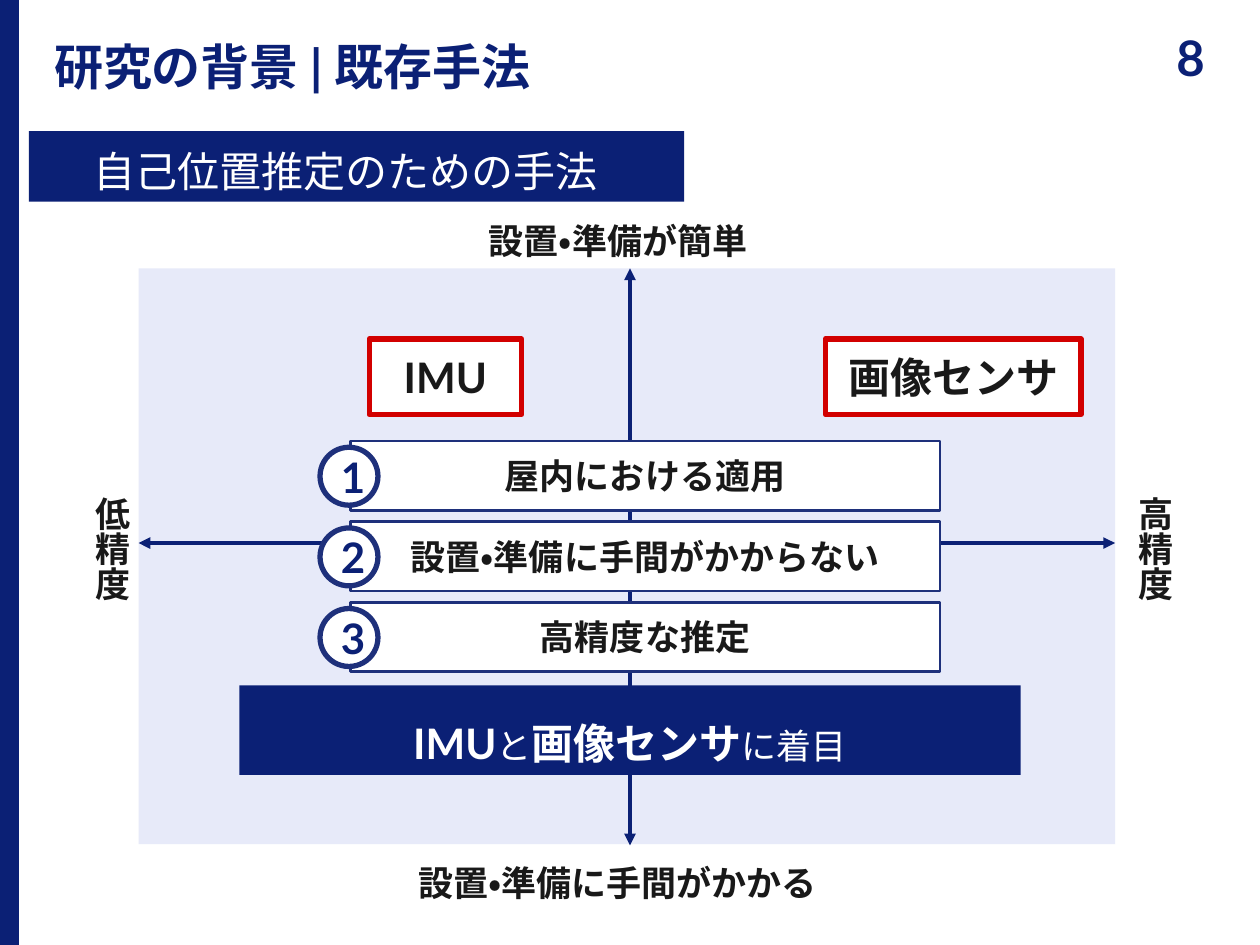
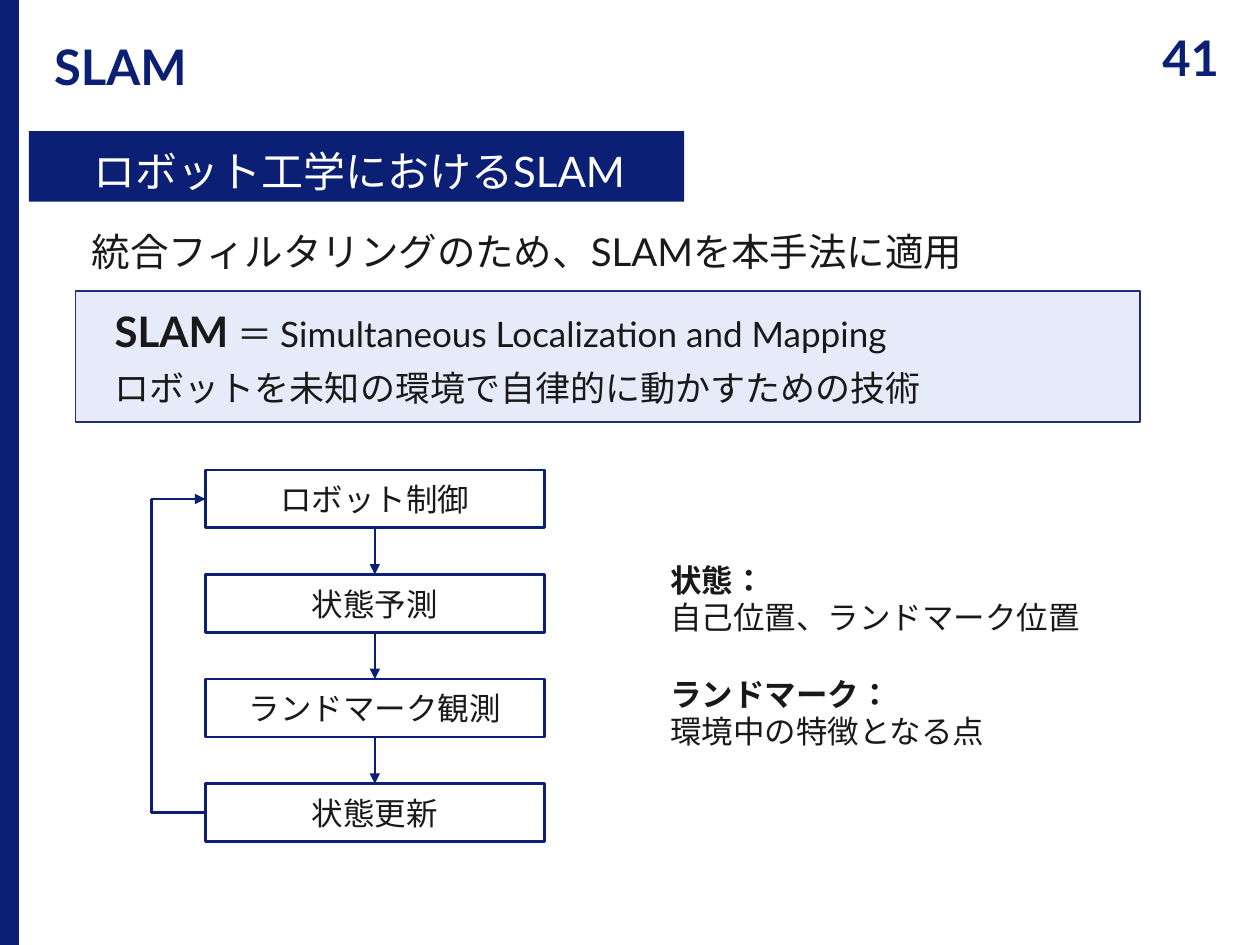
from dataclasses import dataclass
from itertools import pairwise

from lxml import etree
from pptx import Presentation
from pptx import util as u
from pptx.dml.color import RGBColor
from pptx.enum import lang, shapes, text
from pptx.oxml import ns

RECT, OVAL = shapes.MSO_SHAPE.RECTANGLE, shapes.MSO_SHAPE.OVAL
TOP, MID = text.MSO_ANCHOR.TOP, text.MSO_ANCHOR.MIDDLE
LEFT, CENTER = text.PP_ALIGN.LEFT, text.PP_ALIGN.CENTER
PAD = (0.1, 0.05, 0.1, 0.05)


@dataclass(frozen=True)
class Theme:
    face: str = "Lato"
    navy: str = "0B2075"
    edge: str = "1E307B"
    pale: str = "E7EAF9"
    white: str = "FFFFFF"
    ink: str = "191919"
    red: str = "D20000"
    title: int = 28
    head: int = 24
    lead: int = 22
    body: int = 20
    note: int = 18


class Deck:
    def __init__(self, theme):
        self.theme = theme
        self.prs = Presentation()
        self.prs.slide_width, self.prs.slide_height = u.Inches(10), u.Inches(7.5)
        self.slide = None

    def start(self, title, page, topic):
        """Open a slide with its side bar, page number, title and topic band."""
        t = self.theme
        self.slide = self.prs.slides.add_slide(self.prs.slide_layouts[6])
        big = dict(size=t.title, color=t.navy, bold=True)
        self.label((8.9, 0, 1.1, 0.91), str(page), anchor=MID, align=CENTER, **big)
        self.block((-0.01, 0, 0.16, 7.5), t.navy)
        self.label((0, 0, 8.9, 0.91), title, anchor=MID, pad=(0.43, 0.2, 0, 0),
                   para=dict(line_spacing=0.9), **big)
        self.block((0.23, 1.04, 5.2, 0.56), t.navy, words=topic, size=t.head,
                   color=t.white, align=LEFT, pad=(0.51, 0.12, 0.1, 0),
                   para=dict(line_spacing=0.9))

    def block(self, box, fill, edge=None, width=1.5, kind=RECT, words=None, **style):
        shape = self.slide.shapes.add_shape(kind, *map(u.Inches, box))
        shape.shadow.inherit = False
        shape.fill.solid()
        shape.fill.fore_color.rgb = RGBColor.from_string(fill)
        if edge:
            shape.line.color.rgb = RGBColor.from_string(edge)
            shape.line.width = u.Pt(width)
        else:
            shape.line.fill.background()
        if words:
            self.fill_in(shape.text_frame, words, **(dict(anchor=MID, align=CENTER) | style))

    def label(self, box, words, fit=False, upright=False, **style):
        """Place bare text; fit lets the box follow it, upright sets it vertically."""
        frame = self.slide.shapes.add_textbox(*map(u.Inches, box)).text_frame
        self.fill_in(frame, words, **style)
        if fit:
            frame.word_wrap = False
            frame.auto_size = text.MSO_AUTO_SIZE.SHAPE_TO_FIT_TEXT
        if upright:
            frame._txBody.bodyPr.set("vert", "eaVert")

    def fill_in(self, frame, words, size, color=None, bold=False, anchor=TOP,
                align=LEFT, pad=PAD, para=None, gaps=()):
        """Fill a frame: words is a string or a list of paragraphs of (text, format)
        runs; gaps holds the points of space before each paragraph."""
        t = self.theme
        sides = ("margin_left", "margin_top", "margin_right", "margin_bottom")
        look = dict(zip(sides, map(u.Inches, pad)))
        self.apply(frame, look | dict(vertical_anchor=anchor, word_wrap=True))
        rows = [[(words, {})]] if isinstance(words, str) else words
        for i, row in enumerate(rows):
            line = frame.add_paragraph() if i else frame.paragraphs[0]
            self.apply(line, dict(alignment=align) | (para or {}))
            if i and gaps:
                line.space_before = u.Pt(gaps[i])
            for part, extra in row:
                run = line.add_run()
                run.text = part
                form = dict(name=t.face, size=u.Pt(size), bold=bold,
                            language_id=lang.MSO_LANGUAGE_ID.JAPANESE)
                self.apply(run.font, form | extra)
                run.font.color.rgb = RGBColor.from_string(color or t.ink)

    @staticmethod
    def apply(item, form):
        for key, value in form.items():
            setattr(item, key, value)

    def line(self, start, end, width=1.5, head=False, tail=False):
        """Draw a line; head puts an arrowhead at its start, tail at its end."""
        wire = self.slide.shapes.add_connector(
            shapes.MSO_CONNECTOR.STRAIGHT, *map(u.Inches, (*start, *end)))
        wire.line.color.rgb = RGBColor.from_string(self.theme.navy)
        wire.line.width = u.Pt(width)
        pen = wire.line._get_or_add_ln()
        for tag, want in (("a:headEnd", head), ("a:tailEnd", tail)):
            if want:
                etree.SubElement(pen, ns.qn(tag), type="triangle")
        etree.SubElement(wire._element.spPr, ns.qn("a:effectLst"))


def methods(deck):
    t = deck.theme
    deck.start("研究の背景 | 既存手法", 8, "自己位置推定のための手法")
    deck.block((1.1, 2.13, 7.75, 4.57), t.pale)
    for start, end in (((1.1, 4.31), (8.85, 4.31)), ((5, 2.13), (5, 6.71))):
        deck.line(start, end, 2.25, head=True, tail=True)

    bold = dict(size=t.body, bold=True)
    for x, name in ((8.84, "高精度"), (0.56, "低精度")):
        deck.label((x, 3.84, 0.54, 0.94), name, fit=True, upright=True, **bold)
    deck.label((3.78, 1.69, 2.45, 0.44), "設置・準備が簡単", fit=True, **bold)
    deck.label((3.22, 6.79, 3.57, 0.44), "設置・準備に手間がかかる", fit=True, **bold)

    for x, wide, name in ((6.55, 2.03, "画像センサ"), (2.93, 1.21, "IMU")):
        deck.block((x, 2.69, wide, 0.6), t.white, t.red, 3, words=name,
                   size=t.head, bold=True)

    needs = ("屋内における適用", "設置・準備に手間がかからない", "高精度な推定")
    for i, need in enumerate(needs):
        y = 3.5 + 0.64 * i
        deck.block((2.78, y, 4.68, 0.55), t.white, t.edge, words=need, **bold)
        deck.block((2.54, y + 0.05, 0.46, 0.46), t.white, t.edge, 3, OVAL,
                   words=str(i + 1), size=t.head, color=t.navy, bold=True)

    strong = dict(size=u.Pt(t.head), bold=True)
    focus = [[("IMU", strong), ("と", {}), ("画像センサ", strong), ("に着目", {})]]
    deck.block((1.9, 5.44, 6.2, 0.71), t.navy, words=focus, size=t.body,
               color=t.white, para=dict(line_spacing=1.5))


def slam(deck):
    t = deck.theme
    deck.start("SLAM", 41, "ロボット工学におけるSLAM")
    deck.label((0.45, 1.8, 9.22, 0.47), "統合フィルタリングのため、SLAMを本手法に適用",
               size=t.lead, pad=(0.28, 0.05, 0.1, 0.05), para=dict(line_spacing=0.9))

    x, top, wide, high, step = 1.63, 3.73, 2.69, 0.46, 0.83
    steps = ("ロボット制御", "状態予測", "ランドマーク観測", "状態更新")
    tops = [top + step * i for i in range(len(steps))]
    for y, name in zip(tops, steps):
        deck.block((x, y, wide, high), t.white, t.navy, words=name, size=t.note)
    mid = x + wide / 2
    for above, below in pairwise(tops):
        deck.line((mid, above + high), (mid, below), tail=True)

    side, first, last = 1.2, tops[0] + high / 2, tops[-1] + high / 2
    loop = ((x, last), (side, last), (side, first), (x, first))
    for start, end in pairwise(loop):
        deck.line(start, end, tail=end == loop[-1])

    bold = dict(bold=True)
    terms = [[("状態：", bold)], [("自己位置、ランドマーク位置", {})],
             [("ランドマーク：", bold)], [("環境中の特徴となる点", {})]]
    deck.label((5.22, 4.4, 3.48, 1.62), terms, fit=True, size=t.note,
               gaps=(0, 0, 22, 0))

    name = [[("SLAM", dict(size=u.Pt(t.head), bold=True)),
             (" ＝ Simultaneous Localization and Mapping", {})],
            [("ロボットを未知の環境で自律的に動かすための技術", {})]]
    deck.block((0.6, 2.31, 8.45, 1.04), t.pale, t.edge, 1, words=name, size=t.body,
               align=LEFT, pad=(0.31, 0.05, 0.1, 0.05), gaps=(0, 6))


def main():
    deck = Deck(Theme())
    methods(deck)
    slam(deck)
    deck.prs.save("out.pptx")


if __name__ == "__main__":
    main()
